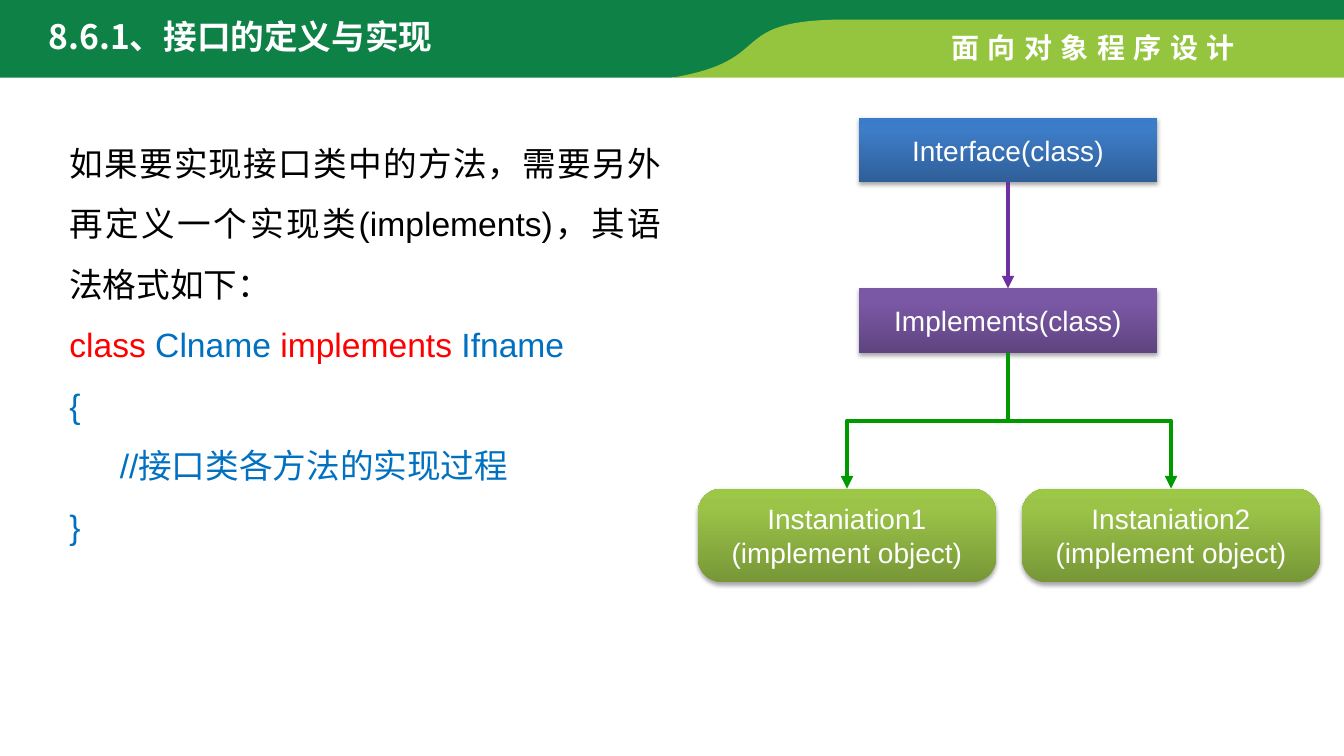
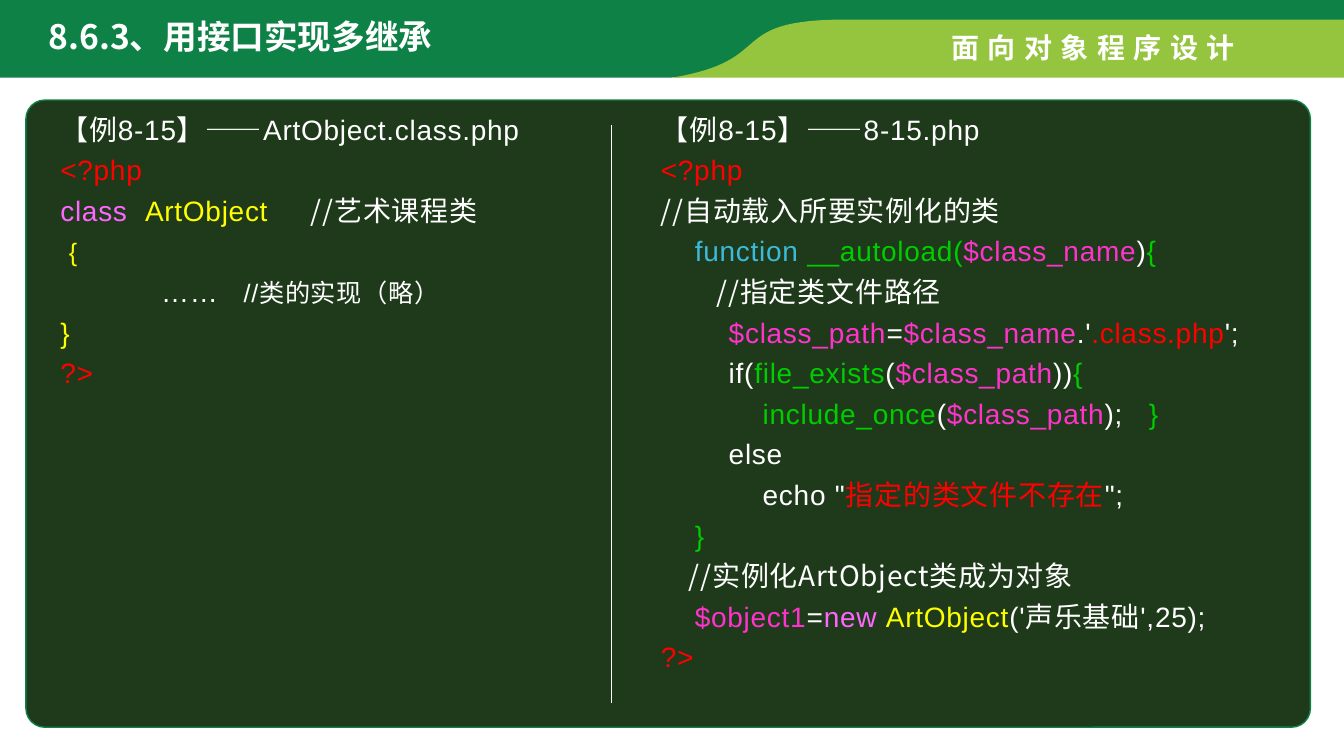
"""Build two lecture slides on defining and using interfaces."""
from copy import deepcopy
from dataclasses import dataclass

from lxml.etree import SubElement
from pptx import Presentation
from pptx.dml.color import RGBColor
from pptx.enum.shapes import MSO_CONNECTOR as LINK, MSO_SHAPE as SHAPE
from pptx.enum.text import MSO_ANCHOR as ANCHOR, MSO_AUTO_SIZE as FIT, PP_ALIGN as ALIGN
from pptx.oxml.ns import qn
from pptx.util import Pt


@dataclass(frozen=True)
class Theme:
    """Colours, fonts and type sizes shared by the slides."""
    green: str = "0E8146"
    lime: str = "95C53E"
    board: str = "1E3A1A"
    white: str = "FFFFFF"
    black: str = "000000"
    red: str = "FF0000"
    blue: str = "0070C0"
    keyword: str = "FF66FF"
    variable: str = "FF33CC"
    call: str = "00CC00"
    function: str = "3CBADC"
    name: str = "FFFF00"
    interface_link: str = "7030A0"
    object_link: str = "009900"
    interface_shades: tuple = ("2F5F99", "3D7CC7", "3A7CCB")
    implements_shades: tuple = ("5F4480", "7B58A6", "7C57A8")
    object_shades: tuple = ("779737", "9BC348", "9DC746")
    font: str = "Arial"
    cjk: str = "Noto Sans CJK SC"
    large: int = 24
    normal: int = 20
    small: int = 18


T = Theme()
WIDTH, HEIGHT = 960, 540
RED, WHITE, BLUE = {"color": T.red}, {"color": T.white}, {"color": T.blue}
KEYWORD, VARIABLE, CALL = {"color": T.keyword}, {"color": T.variable}, {"color": T.call}
FUNCTION, NAME = {"color": T.function}, {"color": T.name}
NOTE = {"font": T.cjk}


def rgb(color):
    """Turn a hex string into a colour."""
    return RGBColor.from_string(color)


def line(*runs, tabs=()):
    """Describe a paragraph as (text, style) runs and tab stops."""
    return [(run, {}) if isinstance(run, str) else run for run in runs], tabs


def add_run(paragraph, text, *, size, color, font=T.font, bold=False, tracking=0):
    """Add one formatted run of text to a paragraph."""
    run = paragraph.add_run()
    run.text = text
    run.font.size, run.font.bold, run.font.name = Pt(size), bold, font
    run.font.color.rgb = rgb(color)
    properties = run.font._element
    SubElement(properties, qn("a:ea"), typeface=T.cjk)
    if tracking:
        properties.set("spc", str(round(tracking * 100)))


def write(frame, lines, *, align=ALIGN.LEFT, leading=1.0, **style):
    """Fill a text frame with paragraphs in a common style."""
    for index, (runs, tabs) in enumerate(lines):
        paragraph = frame.add_paragraph() if index else frame.paragraphs[0]
        if tabs:
            stops = SubElement(paragraph._p.get_or_add_pPr(), qn("a:tabLst"))
            for stop in tabs:
                SubElement(stops, qn("a:tab"), pos=str(Pt(stop)), algn="l")
        paragraph.alignment, paragraph.line_spacing = align, leading
        for text, own in runs:
            add_run(paragraph, text, **{**style, **own})


def add_text(slide, box, lines, wrap=True, **style):
    """Add a text box."""
    frame = slide.shapes.add_textbox(*map(Pt, box)).text_frame
    frame.word_wrap, frame.auto_size = wrap, FIT.SHAPE_TO_FIT_TEXT
    write(frame, lines, **style)


def curve(start, first, second, end, steps=32):
    """Sample a cubic curve, leaving out its start."""
    def at(t):
        weights = (1 - t) ** 3, 3 * t * (1 - t) ** 2, 3 * t * t * (1 - t), t ** 3
        return tuple(sum(w * p[axis] for w, p in zip(weights, (start, first, second, end)))
                     for axis in (0, 1))
    return [at(step / steps) for step in range(1, steps + 1)]


def add_outline(slide, points, color):
    """Add a filled outline without a border."""
    corners = [(Pt(x), Pt(y)) for x, y in points]
    builder = slide.shapes.build_freeform(*corners[0])
    builder.add_line_segments(corners[1:])
    outline = builder.convert_to_shape()
    outline.shadow.inherit = False
    outline.fill.solid()
    outline.fill.fore_color.rgb = rgb(color)
    outline.line.fill.background()


def add_slide(deck, heading):
    """Add a slide with the header bands, course name and title."""
    slide = deck.slides.add_slide(deck.slide_layouts[5])
    bottom = 55.5
    add_outline(slide, [(0, 0), (WIDTH, 0), (WIDTH, 17.5), (595.5, 17.5), (582.5, 20),
                        *curve((582.5, 20), (523.5, 31.5), (554.5, bottom), (471.5, bottom)),
                        (0, bottom)], T.green)
    add_outline(slide, [(604, 14), (WIDTH, 14), (WIDTH, bottom), (480, bottom),
                        *curve((480, bottom), (556.5, 43), (516.5, 14), (604, 14))], T.lime)
    add_text(slide, (672.5, 18, 224.5, 31.5), [line("面向对象程序设计")], wrap=False,
             size=T.normal, color=T.white, bold=True, tracking=6)
    title = slide.shapes.title
    title.left, title.top, title.width, title.height = map(Pt, (27.5, 8, 380, 36))
    frame = title.text_frame
    frame.auto_size, frame.vertical_anchor = FIT.NONE, ANCHOR.TOP
    write(frame, [line(heading)], size=T.large, color=T.white, font=T.cjk, bold=True)
    title.element.getparent().append(title.element)
    return slide


def add_node(slide, kind, box, shades, labels):
    """Add a shaded, shadowed diagram box with centred labels."""
    node = slide.shapes.add_shape(kind, *map(Pt, box))
    if kind == SHAPE.ROUNDED_RECTANGLE:
        node.adjustments[0] = 0.26
    node.line.fill.background()
    node.fill.gradient()
    node.fill.gradient_angle = 90
    stops = node.element.spPr.find(".//" + qn("a:gsLst"))
    stops.append(deepcopy(stops[-1]))
    for stop, place, shade in zip(node.fill.gradient_stops, (0, 0.8, 1), shades):
        stop.position, stop.color.rgb = place, rgb(shade)
    node.shadow.inherit = False
    shadow = SubElement(node.element.spPr.find(qn("a:effectLst")), qn("a:outerShdw"),
                        blurRad=str(Pt(3.1)), dist=str(Pt(1.8)), dir="5400000", rotWithShape="0")
    SubElement(SubElement(shadow, qn("a:srgbClr"), val=T.black), qn("a:alpha"), val="35000")
    node.text_frame.word_wrap, node.text_frame.vertical_anchor = True, ANCHOR.MIDDLE
    write(node.text_frame, [line(label) for label in labels], align=ALIGN.CENTER,
          size=T.normal, color=T.white)


def add_link(slide, start, end, color, width, kind=LINK.STRAIGHT, arrow=True):
    """Add a connector, with an arrowhead at its end if wanted."""
    link = slide.shapes.add_connector(kind, *map(Pt, (*start, *end)))
    link.line.color.rgb, link.line.width = rgb(color), Pt(width)
    if arrow:
        SubElement(link.line._get_or_add_ln(), qn("a:tailEnd"), type="triangle")
    SubElement(link.element.spPr, qn("a:effectLst"))
    return link


def add_branch(slide, start, end, color, width):
    """Add an elbow arrow that leaves downwards and arrives from above."""
    (x1, y1), (x2, y2) = start, end
    middle_x, middle_y = (x1 + x2) / 2, (y1 + y2) / 2
    reach, half = (y2 - y1) / 2, abs(x2 - x1) / 2
    side = 1 if x2 < x1 else -1
    link = add_link(slide, (middle_x - side * reach, middle_y - half),
                    (middle_x + side * reach, middle_y + half), color, width, LINK.ELBOW)
    turn = 90 if side == 1 else 270
    link.element.spPr.find(qn("a:xfrm")).set("rot", str(turn * 60000))


def build_definition(deck):
    """Build the slide on defining and implementing an interface."""
    slide = add_slide(deck, "8.6.1、接口的定义与实现")
    add_text(slide, (42.5, 84, 437, 312.5), [
        line(("如果要实现接口类中的方法，需要另外再定义一个实现类(implements)，其语法格式如下：",
              {"color": T.black})),
        line(("class ", RED), "Clname", (" implements ", RED), "Ifname"),
        line("{"),
        line("\t//接口类各方法的实现过程"),
        line("}"),
    ], align=ALIGN.JUSTIFY, leading=1.5, size=T.large, color=T.blue)

    center, width, height = 720, 213, 46
    interface_top, implements_top, objects_top = 84, 206, 349
    for top, shades, label in ((interface_top, T.interface_shades, "Interface(class)"),
                               (implements_top, T.implements_shades, "Implements(class)")):
        add_node(slide, SHAPE.RECTANGLE, (center - width / 2, top, width, height), shades, [label])
    add_link(slide, (center, interface_top + height), (center, implements_top),
             T.interface_link, 3)
    for number, middle in enumerate((605, 836.5), 1):
        add_node(slide, SHAPE.ROUNDED_RECTANGLE, (middle - width / 2, objects_top, width, 67),
                 T.object_shades, [f"Instaniation{number}", "(implement object)"])
        add_branch(slide, (center, implements_top + height), (middle, objects_top),
                   T.object_link, 3)


def build_inheritance(deck):
    """Build the slide with the two code listings."""
    slide = add_slide(deck, "8.6.3、用接口实现多继承")
    board = slide.shapes.add_shape(SHAPE.ROUNDED_RECTANGLE, *map(Pt, (18.5, 71.5, 917.5, 448)))
    board.adjustments[0] = 0.03
    board.shadow.inherit = False
    board.fill.solid()
    board.fill.fore_color.rgb = rgb(T.board)
    board.line.color.rgb, board.line.width = rgb(T.green), Pt(1)

    class_file = [
        line("【例8-15】——ArtObject.class.php"),
        line(("<?php", RED)),
        line(("class\t", KEYWORD), ("ArtObject\t", NAME), ("//艺术课程类", NOTE), tabs=(60.5, 179)),
        line(" ", ("{", {**NAME, "size": T.small})),
        line("\t……\t", ("//类的实现（略）", {"size": T.small}), tabs=(72, 131)),
        line(("}", NAME)),
        line(("?>", RED)),
    ]
    main_file = [
        line("【例8-15】——8-15.php"),
        line(("<?php", RED)),
        line(("//自动载入所要实例化的类", NOTE)),
        line(("    function ", FUNCTION), ("__autoload(", CALL), ("$class_name", VARIABLE), ")",
             ("{", CALL)),
        line(("        //指定类文件路径", NOTE)),
        line(("        $class_path", VARIABLE), "=", ("$class_name", VARIABLE), ".'",
             (".class.php", RED), "';"),
        line("        if(", ("file_exists", CALL), "(", ("$class_path", VARIABLE), "))",
             ("{", CALL)),
        line(("            include_once", CALL), "(", ("$class_path", VARIABLE), ");\t",
             ("}", CALL), tabs=(348.5,)),
        line("        else"),
        line('            echo "', ("指定的类文件不存在", RED), '";'),
        line(("    }", CALL)),
        line(("    //实例化ArtObject类成为对象", NOTE)),
        line(("    $object1", VARIABLE), "=", ("new ", KEYWORD), ("ArtObject", NAME),
             "('声乐基础',25);"),
        line(("?>", RED)),
    ]
    for left, width, listing in ((36, 358.5, class_file), (465, 443, main_file)):
        add_text(slide, (left, 71.5, width, 29 * len(listing) + 7.2), listing, leading=Pt(29),
                 size=T.normal, color=T.white, tracking=0.5)
    add_link(slide, (437, 89.5), (437, 502), T.white, 0.75, arrow=False)


def main():
    """Build and save the deck."""
    deck = Presentation()
    deck.slide_width, deck.slide_height = Pt(WIDTH), Pt(HEIGHT)
    build_definition(deck)
    build_inheritance(deck)
    deck.save("out.pptx")


if __name__ == "__main__":
    main()
